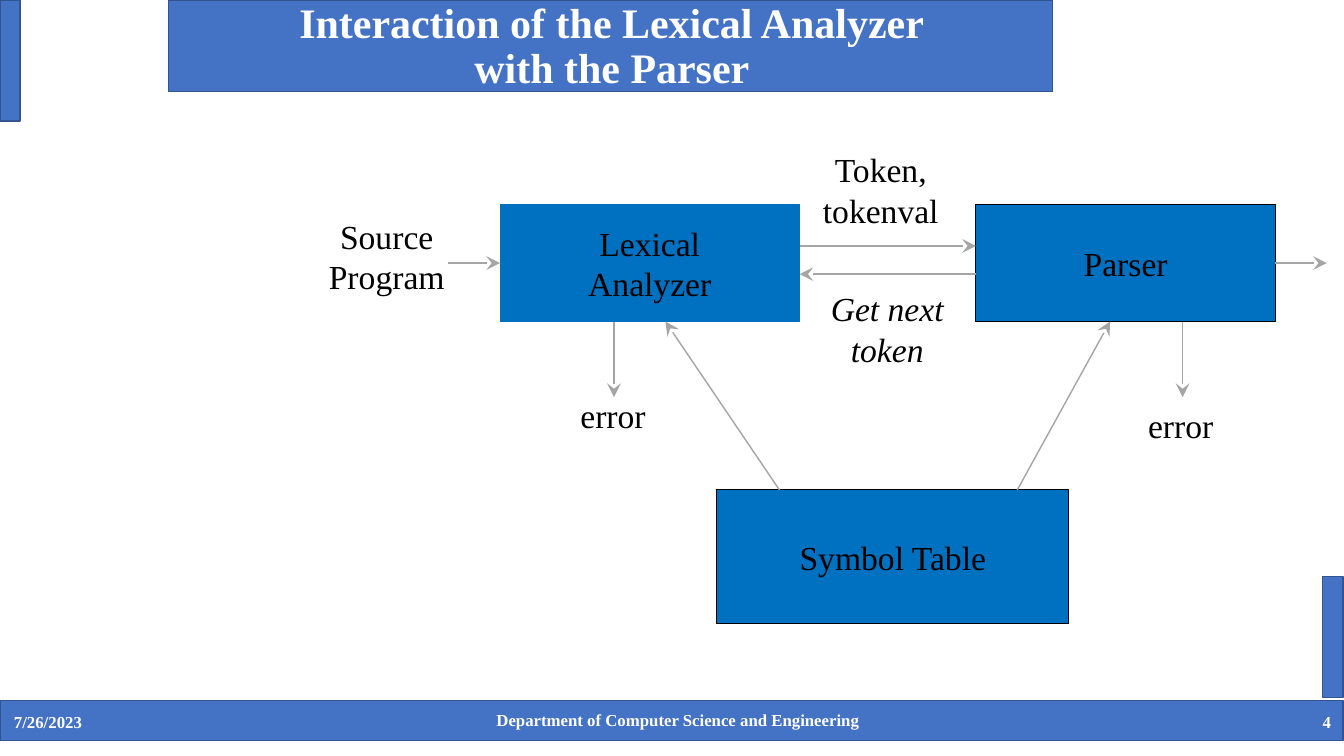
from dataclasses import dataclass

from lxml import etree
from pptx import Presentation
from pptx import util as u
from pptx.dml.color import RGBColor
from pptx.enum import shapes, text
from pptx.oxml import ns


@dataclass(frozen=True)
class Theme:
    font: str = "Times New Roman"
    bar: str = "4472C4"
    bar_edge: str = "325491"
    block: str = "0070C0"
    arrow: str = "A5A5A5"
    dark: str = "000000"
    light: str = "FFFFFF"
    title_size: int = 30
    label_size: int = 24
    footer_size: int = 12


@dataclass(frozen=True)
class Box:
    left: float
    top: float
    width: float
    height: float

    def inside(self, left, top, width, height):
        return Box(self.left + left, self.top + top, width, height)

    def lengths(self):
        return [u.Inches(v) for v in (self.left, self.top, self.width, self.height)]


THEME = Theme()
CENTER, RIGHT, LEFT = text.PP_ALIGN.CENTER, text.PP_ALIGN.RIGHT, text.PP_ALIGN.LEFT
MIDDLE, TOP = text.MSO_ANCHOR.MIDDLE, text.MSO_ANCHOR.TOP
SIDE_LEFT, SIDE_RIGHT = 1, 3


# Shared parts
def write(shape, words, size=THEME.label_size, color=THEME.dark, bold=False, italic=False,
          align=CENTER, anchor=TOP, wrap=False, spacing=None, inset=0.06):
    frame = shape.text_frame
    frame.word_wrap = wrap
    frame.auto_size = text.MSO_AUTO_SIZE.NONE
    frame.vertical_anchor = anchor
    frame.margin_top = frame.margin_bottom = u.Inches(inset)
    paragraph = frame.paragraphs[0]
    paragraph.text = words
    paragraph.alignment = align
    if spacing:
        paragraph.line_spacing = spacing
    for run in paragraph.runs:
        run.font.name = THEME.font
        run.font.size = u.Pt(size)
        run.font.bold = bold
        run.font.italic = italic
        run.font.color.rgb = RGBColor.from_string(color)


def add_label(slide, box, words, **style):
    label = slide.shapes.add_textbox(*box.lengths())
    write(label, words, **style)


def add_rectangle(slide, box, fill=THEME.bar, edge=THEME.bar_edge, weight=1):
    rectangle = slide.shapes.add_shape(shapes.MSO_SHAPE.RECTANGLE, *box.lengths())
    rectangle.shadow.inherit = False
    rectangle.fill.solid()
    rectangle.fill.fore_color.rgb = RGBColor.from_string(fill)
    rectangle.line.color.rgb = RGBColor.from_string(edge)
    rectangle.line.width = u.Pt(weight)
    return rectangle


def add_block(slide, box, words, edge=THEME.dark):
    block = add_rectangle(slide, box, THEME.block, edge, 0.75)
    write(block, words, anchor=MIDDLE)
    return block


def add_arrow(slide, box, start, end):
    points = [u.Inches(v) for x, y in (start, end) for v in (box.left + x, box.top + y)]
    arrow = slide.shapes.add_connector(shapes.MSO_CONNECTOR.STRAIGHT, *points)
    arrow.line.color.rgb = RGBColor.from_string(THEME.arrow)
    arrow.line.width = u.Pt(1)
    properties = arrow.element.spPr
    etree.SubElement(properties.find(ns.qn("a:ln")), ns.qn("a:tailEnd"),
                     type="stealth", w="lg", len="lg")
    etree.SubElement(properties, ns.qn("a:effectLst"))
    return arrow


# Title bar and the two accent strips
def add_header(slide, box):
    add_rectangle(slide, box.inside(0, 0, 0.2, 1.2))
    title_bar = add_rectangle(slide, box.inside(1.67, 0, 8.77, 0.91))
    add_rectangle(slide, box.inside(13.12, 5.72, 0.2, 1.2))
    title = slide.shapes.title
    title.left, title.top, title.width, title.height = box.inside(1.81, -0.03, 8.52, 1).lengths()
    write(title, "Interaction of the Lexical Analyzer\nwith the Parser", size=THEME.title_size,
          color=THEME.light, bold=True, anchor=MIDDLE, wrap=True, spacing=0.9, inset=0.05)
    # The title stands in front of its bar
    title_bar.element.addnext(title.element)


# Footer bar with date, department and slide number
def add_footer(slide, box):
    add_rectangle(slide, box)
    for left, top, width, words, align in (
            (0.04, 0.06, 3, "7/26/2023", LEFT),
            (3.98, 0.04, 5.49, "Department of Computer Science and Engineering", CENTER),
            (10.3, 0.06, 3, "4", RIGHT)):
        add_label(slide, box.inside(left, top, width, 0.3), words, size=THEME.footer_size,
                  color=THEME.light, bold=True, align=align, wrap=True, inset=0.05)


# Diagram: analyzer, parser and symbol table
def add_diagram(slide, box):
    block_width, block_height = 2.97, 1.16
    block_top, table_top = 0.61, 3.44
    analyzer_left, parser_left = 1.82, 6.54
    analyzer_right = analyzer_left + block_width
    parser_right = parser_left + block_width
    block_bottom = block_top + block_height
    middle = block_top + block_height / 2

    analyzer = add_block(slide, box.inside(analyzer_left, block_top, block_width, block_height),
                         "Lexical\nAnalyzer", edge=THEME.block)
    parser = add_block(slide, box.inside(parser_left, block_top, block_width, block_height),
                       "Parser")
    add_block(slide, box.inside(3.97, table_top, 3.49, 1.33), "Symbol Table")

    source_arrow = add_arrow(slide, box, (1.3, middle), (analyzer_left, middle))
    source_arrow.end_connect(analyzer, SIDE_LEFT)
    output_arrow = add_arrow(slide, box, (parser_right, middle), (parser_right + 0.51, middle))
    output_arrow.begin_connect(parser, SIDE_RIGHT)

    for start, end in (
            ((analyzer_right, 1.02), (parser_left, 1.02)),
            ((parser_left, 1.3), (analyzer_right, 1.3)),
            ((4.59, table_top), (3.46, block_bottom)),
            ((6.95, table_top), (7.87, block_bottom)),
            ((2.95, block_bottom), (2.95, 2.52)),
            ((8.59, block_bottom), (8.59, 2.52))):
        add_arrow(slide, box, start, end)

    for left, top, width, height, words, italic in (
            (0, 0.66, 1.39, 0.92, "Source\nProgram", False),
            (4.9, 0, 1.39, 0.92, "Token,\ntokenval", False),
            (4.98, 1.38, 1.36, 0.92, "Get next\ntoken", True),
            (2.5, 2.44, 0.88, 0.52, "error", False),
            (8.13, 2.54, 0.88, 0.52, "error", False)):
        add_label(slide, box.inside(left, top, width, height), words, italic=italic)


def main():
    presentation = Presentation()
    presentation.slide_width = u.Inches(13.33)
    presentation.slide_height = u.Inches(7.5)
    title_only = presentation.slide_layouts[5]
    slide = presentation.slides.add_slide(title_only)
    add_header(slide, Box(0, 0, 13.33, 6.92))
    add_footer(slide, Box(0, 6.95, 13.32, 0.4))
    add_diagram(slide, Box(3.14, 1.42, 10.02, 4.77))
    presentation.save("out.pptx")


if __name__ == "__main__":
    main()
